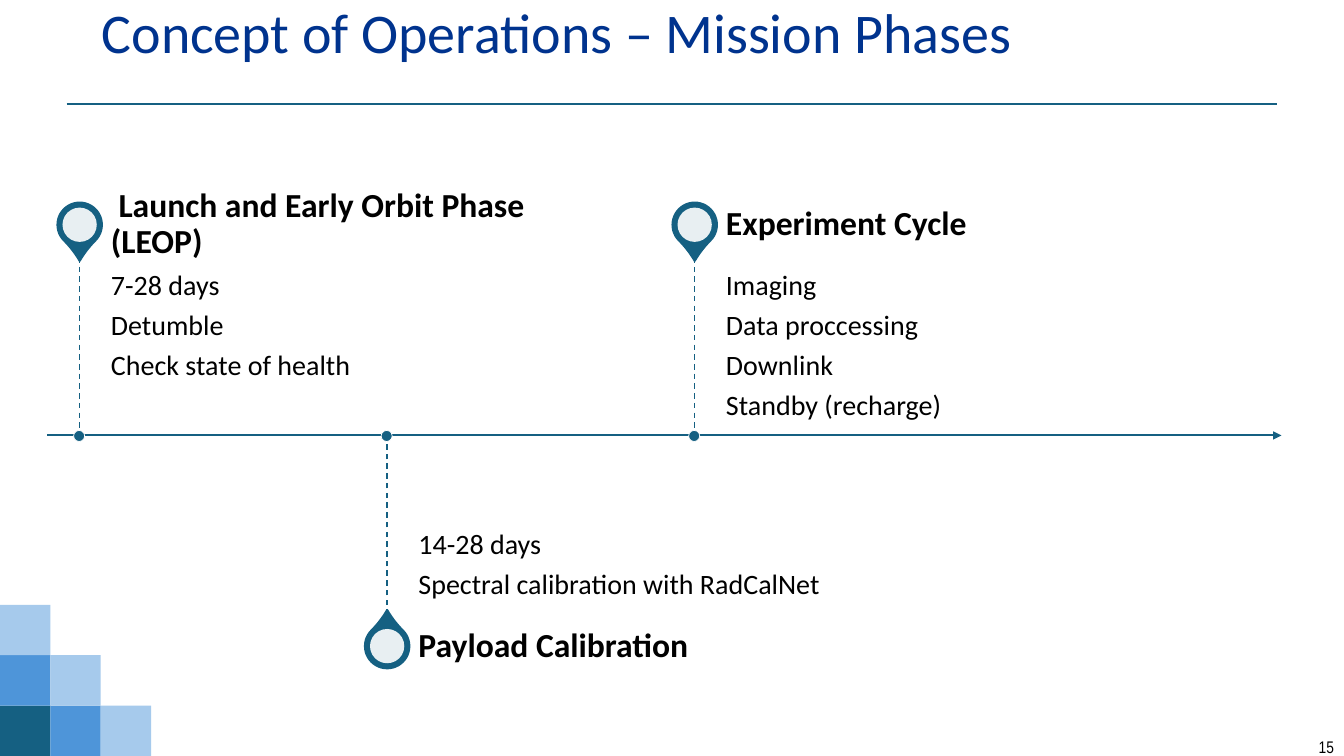
from dataclasses import dataclass

from lxml.etree import SubElement
from pptx import Presentation
from pptx.dml.color import RGBColor
from pptx.enum.dml import MSO_LINE
from pptx.enum.shapes import MSO_CONNECTOR, MSO_SHAPE
from pptx.enum.text import MSO_ANCHOR, MSO_AUTO_SIZE, PP_ALIGN
from pptx.oxml.ns import qn
from pptx.util import Pt

EMU_PER_PX = 9144  # 100 px to the inch


@dataclass(frozen=True)
class Theme:
    font: str = "Calibri"
    number_font: str = "Arial Narrow"
    teal: str = "156082"
    blue: str = "4E95D9"
    pale: str = "A6CAEC"
    navy: str = "00338E"
    black: str = "000000"
    white: str = "FFFFFF"
    title_size: int = 40
    heading_size: int = 24
    list_size: int = 20
    number_size: int = 12
    list_gap: int = 7


def px(*lengths):
    return [length * EMU_PER_PX for length in lengths]


def rgb(code):
    return RGBColor.from_string(code)


class Painter:
    def __init__(self, theme, page):
        self.theme = theme
        self.page = page

    def fill_text(self, box, lines, size, color, font=None, bold=False,
                  align=PP_ALIGN.LEFT, anchor=MSO_ANCHOR.TOP,
                  insets=(10, 5, 10, 5), spacing=0.9):
        frame = box.text_frame
        frame.word_wrap = True
        frame.auto_size = MSO_AUTO_SIZE.NONE
        frame.vertical_anchor = anchor
        (frame.margin_left, frame.margin_top,
         frame.margin_right, frame.margin_bottom) = px(*insets)
        for index, line in enumerate(lines):
            para = frame.add_paragraph() if index else frame.paragraphs[0]
            para.alignment = align
            para.line_spacing = spacing
            para.space_before = Pt(self.theme.list_gap if index else 0)
            span = para.add_run()
            span.text = line
            span.font.name = font or self.theme.font
            span.font.size = Pt(size)
            span.font.bold = bold
            span.font.color.rgb = rgb(color)

    def title(self, text, left, top, width, height):
        box = self.page.shapes.title
        box.left, box.top, box.width, box.height = px(left, top, width, height)
        self.fill_text(box, [text], self.theme.title_size, self.theme.navy,
                       align=PP_ALIGN.CENTER)

    def text(self, lines, left, top, width, height, size, **style):
        box = self.page.shapes.add_textbox(*px(left, top, width, height))
        self.fill_text(box, lines, size, self.theme.black, **style)

    def shape(self, kind, left, top, width, height, fill, line=None,
              weight=1.5, alpha=None):
        shape = self.page.shapes.add_shape(kind, *px(left, top, width, height))
        shape.shadow.inherit = False
        shape.fill.solid()
        shape.fill.fore_color.rgb = rgb(fill)
        if alpha is not None:
            color = shape._element.spPr.find(f".//{qn('a:srgbClr')}")
            SubElement(color, qn("a:alpha"), val=str(alpha * 1000))
        if line:
            shape.line.color.rgb = rgb(line)
            shape.line.width = Pt(weight)
        else:
            shape.line.fill.background()
        return shape

    def line(self, x1, y1, x2, y2, weight=1.5, dashed=False, arrow=False):
        line = self.page.shapes.add_connector(
            MSO_CONNECTOR.STRAIGHT, *px(x1, y1, x2, y2))
        line.line.color.rgb = rgb(self.theme.teal)
        line.line.width = Pt(weight)
        if dashed:
            line.line.dash_style = MSO_LINE.DASH
        properties = line._element.spPr
        if arrow:
            SubElement(properties.find(qn("a:ln")), qn("a:tailEnd"), type="triangle")
        SubElement(properties, qn("a:effectLst"))

    def phase(self, heading, items, stem, axis, above):
        """One milestone: pin, notes, heading, stem and dot on the axis."""
        theme = self.theme
        heading_top = 192 if above else 610
        stem_end = 255 if above else 610
        pin_top = heading_top + 9
        text_left = stem + 31

        # Pin with its pale lens
        pin = self.shape(MSO_SHAPE.TEAR, stem - 22, pin_top, 44, 44,
                         theme.teal, theme.teal)
        pin.adjustments[0] = 1.15
        pin.rotation = 135 if above else 315
        self.shape(MSO_SHAPE.OVAL, stem - 17, pin_top + 5, 34, 34,
                   theme.white, alpha=90)

        # Notes and heading
        self.text(items, text_left, min(stem_end, axis), 509, 178, theme.list_size,
                  anchor=MSO_ANCHOR.TOP if above else MSO_ANCHOR.BOTTOM,
                  insets=(0, 14, 14, 21) if above else (0, 21, 0, 14))
        self.text([heading], text_left, heading_top, 509, 62, theme.heading_size,
                  bold=True, anchor=MSO_ANCHOR.MIDDLE, insets=(0, 0, 17, 0))

        # Stem and dot
        self.line(stem, stem_end, stem, axis, weight=1, dashed=True)
        self.shape(MSO_SHAPE.OVAL, stem - 6, axis - 5, 11, 11,
                   theme.teal, theme.white, weight=0.5)


def main():
    deck = Presentation()
    deck.slide_width, deck.slide_height = px(1333, 750)
    theme = Theme()
    painter = Painter(theme, deck.slides.add_slide(deck.slide_layouts[5]))

    # Title, rule and page number
    painter.line(66, 103, 1267, 103)
    painter.title("Concept of Operations – Mission Phases", 0, 0, 1104, 101)
    painter.text(["15"], 1033, 732, 300, 17, theme.number_size,
                 font=theme.number_font, align=PP_ALIGN.RIGHT,
                 anchor=MSO_ANCHOR.MIDDLE, spacing=1.0)

    # Corner staircase, coloured by diagonal
    shades = (theme.teal, theme.blue, theme.pale)
    for column in range(3):
        for row in range(3 - column):
            painter.shape(MSO_SHAPE.RECTANGLE, column * 50, 700 - row * 50,
                          50, 50, shades[column + row])

    # Timeline with alternating phases
    axis = 432
    painter.line(47, axis, 1271, axis, arrow=True)
    phases = [
        (" Launch and Early Orbit Phase (LEOP)",
         ["7-28 days", "Detumble", "Check state of health"]),
        ("Payload Calibration",
         ["14-28 days", "Spectral calibration with RadCalNet"]),
        ("Experiment Cycle",
         ["Imaging", "Data proccessing", "Downlink", "Standby (recharge)"]),
    ]
    for index, (heading, items) in enumerate(phases):
        painter.phase(heading, items, 79 + index * 305, axis, above=index % 2 == 0)

    deck.save("out.pptx")


if __name__ == "__main__":
    main()
